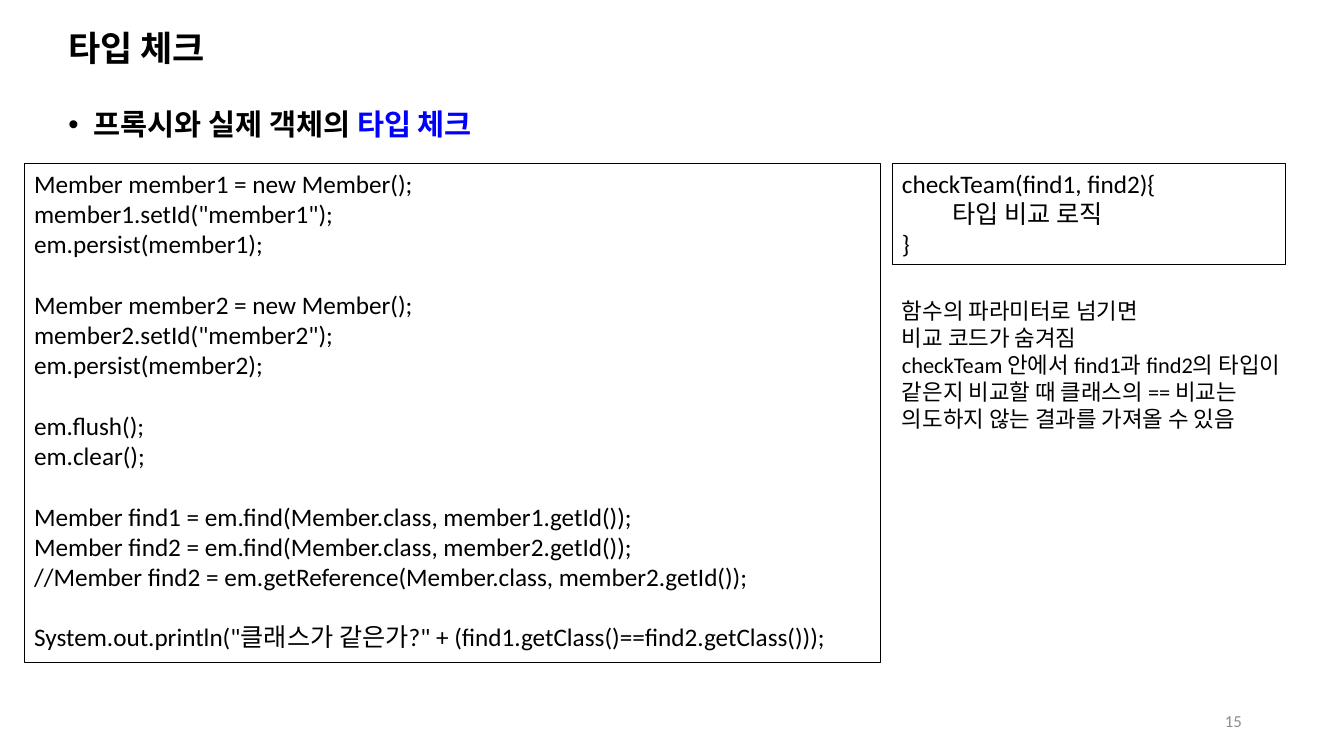
from lxml import etree
from pptx import Presentation
from pptx import util as u
from pptx.dml.color import RGBColor
from pptx.enum import shapes, text
from pptx.oxml import ns

Pt = u.Pt
BLACK, BLUE, GRAY = "000000", "0000FF", "8C8C8C"
HEADING, BODY = "Arial", "Calibri"
CODE_SIZE = 18
CODE_LINE = 21.6


def color(value):
    return RGBColor.from_string(value)


class SlideBuilder:
    def __init__(self, slide):
        self.slide = slide

    def place(self, shape, box):
        shape.left, shape.top, shape.width, shape.height = map(Pt, box)

    def frame(self, shape, anchor=text.MSO_ANCHOR.TOP):
        frame = shape.text_frame
        frame.word_wrap = True
        frame.auto_size = text.MSO_AUTO_SIZE.NONE
        frame.vertical_anchor = anchor
        return frame

    def run(self, paragraph, words, size, font=BODY, ink=BLACK, bold=False):
        run = paragraph.add_run()
        run.text = words
        run.font.size = Pt(size)
        run.font.name = font
        run.font.bold = bold
        run.font.color.rgb = color(ink)

    def lines(self, frame, lines, size, align=text.PP_ALIGN.LEFT):
        """Write one paragraph per line and return the paragraphs."""
        for index, line in enumerate(lines):
            paragraph = frame.add_paragraph() if index else frame.paragraphs[0]
            paragraph.alignment = align
            self.run(paragraph, line, size)
        return frame.paragraphs

    def title(self, words, box):
        title = self.slide.shapes.title
        self.place(title, box)
        paragraph = self.frame(title, text.MSO_ANCHOR.MIDDLE).paragraphs[0]
        paragraph.alignment = text.PP_ALIGN.LEFT
        paragraph.line_spacing = 1.5
        self.run(paragraph, words, 25, HEADING, bold=True)

    def bullet(self, runs, box):
        shape = self.slide.shapes.add_textbox(*map(Pt, box))
        paragraph = self.frame(shape).paragraphs[0]
        paragraph.line_spacing = 1.5
        properties = paragraph._p.get_or_add_pPr()
        properties.set("marL", str(Pt(18)))
        properties.set("indent", str(-Pt(18)))
        etree.SubElement(properties, ns.qn("a:buFont")).set("typeface", HEADING)
        etree.SubElement(properties, ns.qn("a:buChar")).set("char", "•")
        for words, ink in runs:
            self.run(paragraph, words, 21, HEADING, ink, True)

    def note(self, lines, box, size, align=text.PP_ALIGN.LEFT):
        shape = self.slide.shapes.add_textbox(*map(Pt, box))
        return self.lines(self.frame(shape), lines, size, align)

    def page_number(self, number, box):
        shape = self.slide.shapes.add_textbox(*map(Pt, box))
        paragraph = self.frame(shape, text.MSO_ANCHOR.MIDDLE).paragraphs[0]
        paragraph.alignment = text.PP_ALIGN.RIGHT
        self.run(paragraph, number, 12, ink=GRAY)

    def code(self, groups, box):
        """Draw a framed listing with a one-line gap between groups."""
        shape = self.slide.shapes.add_shape(
            shapes.MSO_SHAPE.RECTANGLE, *map(Pt, box))
        shape.shadow.inherit = False
        shape.fill.background()
        shape.line.color.rgb = color(BLACK)
        shape.line.width = Pt(0.75)
        paragraphs = self.lines(
            self.frame(shape), [line for group in groups for line in group], CODE_SIZE)
        start = 0
        for group in groups[:-1]:
            start += len(group)
            paragraphs[start].space_before = Pt(CODE_LINE)
        return paragraphs


def main():
    presentation = Presentation()
    presentation.slide_width, presentation.slide_height = Pt(960), Pt(540)
    slide = presentation.slides.add_slide(presentation.slide_layouts[5])
    builder = SlideBuilder(slide)

    # Heading and topic
    builder.title("타입 체크", (41.8, 13, 828, 27.4))
    builder.bullet([("프록시와 실제 객체의 ", BLACK), ("타입 체크", BLUE)],
                   (41.8, 59.8, 883.4, 463.7))

    # Type check method
    method = builder.code([["checkTeam(find1, find2){", "타입 비교 로직", "}"]],
                          (637.2, 116.6, 280.8, 72.7))
    method[1].level = 1
    method[1]._p.get_or_add_pPr().set("marL", str(Pt(36)))

    # Explanation
    builder.note([
        "함수의 파라미터로 넘기면",
        "비교 코드가 숨겨짐",
        "checkTeam 안에서 find1과 find2의 타입이",
        "같은지 비교할 때 클래스의 == 비교는",
        "의도하지 않는 결과를 가져올 수 있음",
    ], (637.2, 208.8, 298.1, 104.4), 16)

    # Main listing
    members = [[f"Member {name} = new Member();",
                f'{name}.setId("{name}");',
                f"em.persist({name});"] for name in ("member1", "member2")]
    builder.code(members + [
        ["em.flush();", "em.clear();"],
        ["Member find1 = em.find(Member.class, member1.getId());",
         "Member find2 = em.find(Member.class, member2.getId());",
         "//Member find2 = em.getReference(Member.class, member2.getId());"],
        ['System.out.println("클래스가 같은가?" + (find1.getClass()==find2.getClass()));'],
    ], (17.3, 116.6, 612, 356.4))

    # Page number
    builder.page_number("15", (678.2, 500.4, 216, 28.8))

    presentation.save("out.pptx")


if __name__ == "__main__":
    main()
